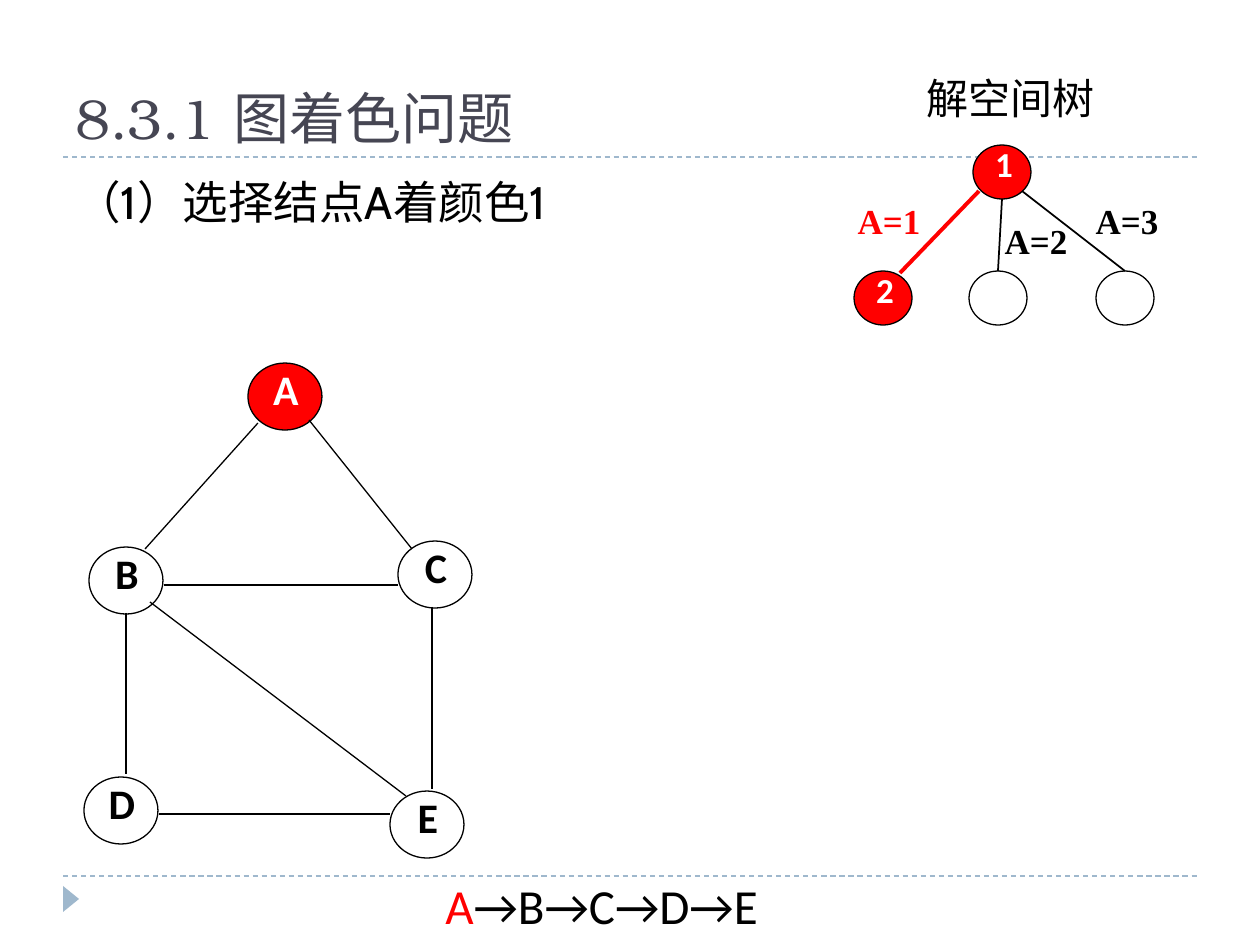
from dataclasses import dataclass

from pptx import Presentation
from pptx.dml.color import RGBColor
from pptx.enum.dml import MSO_LINE
from pptx.enum.shapes import MSO_CONNECTOR, MSO_SHAPE
from pptx.enum.text import MSO_ANCHOR, MSO_AUTO_SIZE, PP_ALIGN
from pptx.oxml.ns import qn
from pptx.util import Pt
from lxml import etree

EMU_PER_PX = 9144000 / 1260
STRAIGHT = MSO_CONNECTOR.STRAIGHT
ELLIPSE = MSO_SHAPE.OVAL
TRIANGLE = MSO_SHAPE.ISOSCELES_TRIANGLE
DASH = MSO_LINE.DASH
TOP = MSO_ANCHOR.TOP
BOTTOM = MSO_ANCHOR.BOTTOM
CENTER = PP_ALIGN.CENTER
GROW = MSO_AUTO_SIZE.SHAPE_TO_FIT_TEXT


@dataclass(frozen=True)
class Theme:
    accent: str = "9FB8CD"
    title: str = "464653"
    ink: str = "000000"
    paper: str = "FFFFFF"
    red: str = "FF0000"
    title_font: str = "TeX Gyre Bonum"
    body_font: str = "Cabin"
    node_font: str = "Calibri"
    label_font: str = "Times New Roman"
    title_size: int = 32
    order_size: int = 28
    body_size: int = 26
    graph_size: int = 24
    tree_size: int = 20
    thin: float = 0.75
    branch: float = 1
    chosen: float = 2.25


THEME = Theme()

GRAPH_NODES = {
    "A": (248, 363),
    "C": (398, 541),
    "B": (89, 547),
    "D": (84, 777),
    "E": (390, 791),
}
GRAPH_EDGES = [
    (258, 423, 145, 549),
    (309, 420, 412, 549),
    (164, 585, 398, 585),
    (126, 613, 126, 774),
    (432, 607, 432, 789),
    (159, 814, 390, 814),
    (150, 602, 406, 796),
]
TREE_NODES = [
    ("1", 973, 145, THEME.red),
    ("2", 854, 271, THEME.red),
    ("", 969, 271, THEME.paper),
    ("", 1096, 271, THEME.paper),
]
TREE_BRANCHES = [
    (979, 191, 900, 273, THEME.red, THEME.chosen),
    (1002, 199, 998, 271, THEME.ink, THEME.branch),
    (1022, 191, 1125, 271, THEME.ink, THEME.branch),
]
TREE_LABELS = [
    ("A=1", 848, 208, THEME.red),
    ("A=2", 995, 228, THEME.ink),
    ("A=3", 1086, 208, THEME.ink),
]


def px(*lengths):
    return [round(length * EMU_PER_PX) for length in lengths]


def set_values(target, values):
    for name, value in values.items():
        setattr(target, name, value)


def write_text(shape, runs, font, size, bold=False, frame=None, paragraph=None):
    text_frame = shape.text_frame
    set_values(text_frame, {"word_wrap": True, "vertical_anchor": TOP, **(frame or {})})
    first = text_frame.paragraphs[0]
    set_values(first, paragraph or {})
    for text, color in runs:
        run = first.add_run()
        run.text = text
        set_values(run.font, {"name": font, "size": Pt(size), "bold": bold})
        run.font.color.rgb = RGBColor.from_string(color)


def add_text(slide, box, runs, font, size, **formats):
    shape = slide.shapes.add_textbox(*px(*box))
    write_text(shape, runs, font, size, **formats)


def add_line(slide, ends, color, width, dash=None):
    line = slide.shapes.add_connector(STRAIGHT, *px(*ends))
    line.line.color.rgb = RGBColor.from_string(color)
    set_values(line.line, {"width": Pt(width), "dash_style": dash})
    etree.SubElement(line._element.spPr, qn("a:effectLst"))


def margins(left):
    return {
        "margin_left": px(left)[0],
        "margin_top": 0,
        "margin_right": 0,
        "margin_bottom": 0,
    }


def add_node(slide, box, text, fill, size, spacing, left):
    node = slide.shapes.add_shape(ELLIPSE, *px(*box))
    node.shadow.inherit = False
    node.fill.solid()
    node.fill.fore_color.rgb = RGBColor.from_string(fill)
    node.line.color.rgb = RGBColor.from_string(THEME.ink)
    node.line.width = Pt(THEME.thin)
    if text:
        color = THEME.paper if fill == THEME.red else THEME.ink
        write_text(
            node, [(text, color)], THEME.node_font, size, bold=True,
            frame=margins(left),
            paragraph={"alignment": CENTER, "line_spacing": spacing},
        )


def add_frame(slide):
    for y in (876, 157):
        add_line(slide, (63, y, 1197, y), THEME.accent, THEME.thin, DASH)
    marker = slide.shapes.add_shape(TRIANGLE, *px(58, 891, 26, 16))
    marker.rotation = 90
    marker.shadow.inherit = False
    marker.fill.solid()
    marker.fill.fore_color.rgb = RGBColor.from_string(THEME.accent)
    marker.line.fill.background()


def add_graph(slide):
    for name, (x, y) in GRAPH_NODES.items():
        fill = THEME.red if name == "A" else THEME.paper
        add_node(slide, (x, y, 74, 67), name, fill, THEME.graph_size, 0.8, 2)
    for ends in GRAPH_EDGES:
        add_line(slide, ends, THEME.ink, THEME.thin)


def add_tree(slide):
    for text, x, y, fill in TREE_NODES:
        add_node(slide, (x, y, 58, 54), text, fill, THEME.tree_size, 0.72, 4)
    for *ends, color, width in TREE_BRANCHES:
        add_line(slide, ends, color, width)
    for text, x, y, color in TREE_LABELS:
        add_text(
            slide, (x, y, 82, 47), [(text, color)], THEME.label_font,
            THEME.tree_size, bold=True, frame=margins(0),
            paragraph={"alignment": CENTER, "line_spacing": 0.8},
        )


def main():
    presentation = Presentation()
    presentation.slide_width, presentation.slide_height = px(1260, 945)
    slide = presentation.slides.add_slide(presentation.slide_layouts[6])
    unwrapped = {"word_wrap": False, "auto_size": GROW}

    add_frame(slide)
    add_text(
        slide, (63, 21, 1134, 136), [("8.3.1 图着色问题", THEME.title)],
        THEME.title_font, THEME.title_size, frame={"vertical_anchor": BOTTOM},
    )
    add_text(
        slide, (63, 168, 1134, 680), [("（1）选择结点A着颜色1", THEME.ink)],
        THEME.body_font, THEME.body_size,
    )
    add_graph(slide)
    add_tree(slide)
    add_text(
        slide, (914, 66, 195, 63), [("解空间树", THEME.ink)],
        THEME.node_font, THEME.graph_size, frame=unwrapped,
    )
    add_text(
        slide, (433, 869, 362, 72),
        [("A", THEME.red), ("→B→C→D→E", THEME.ink)],
        THEME.node_font, THEME.order_size, frame=unwrapped,
    )
    presentation.save("out.pptx")


if __name__ == "__main__":
    main()
